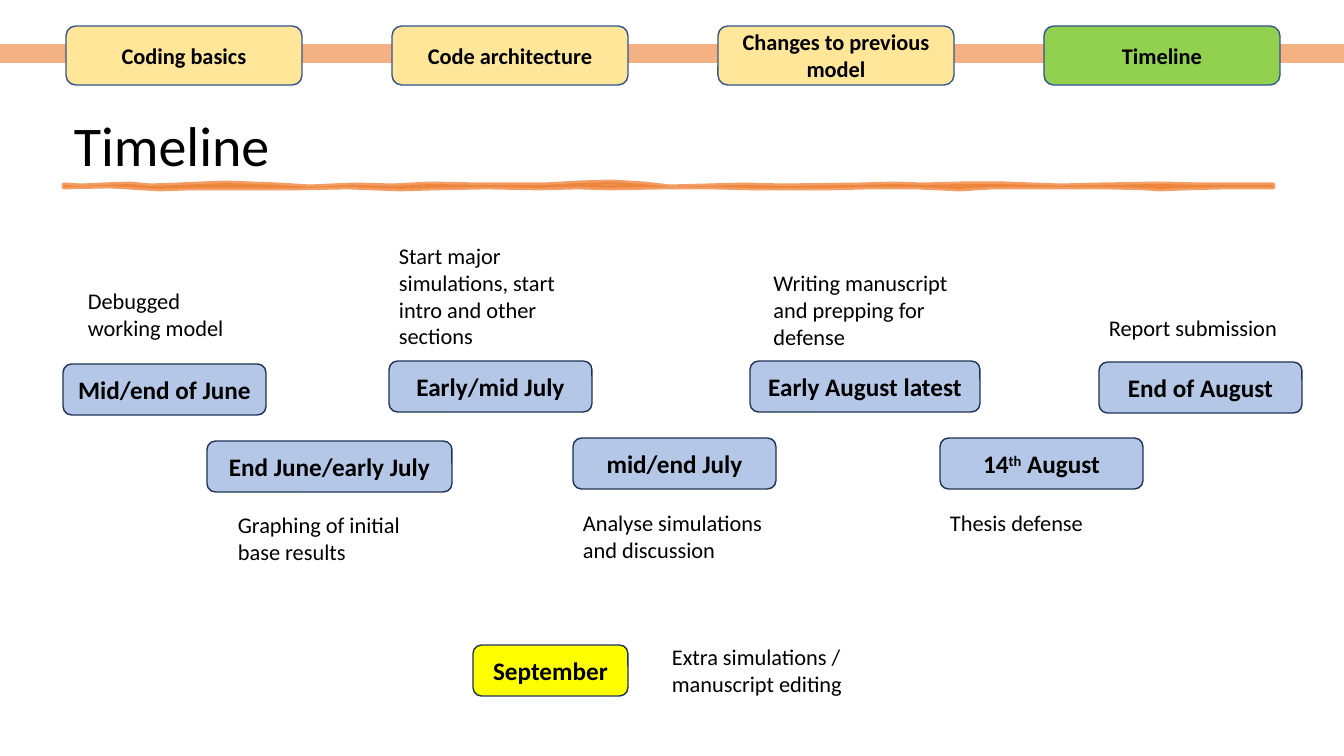
"""Build a project timeline slide with a navigation bar and staggered milestones."""
import pptx
import pptx.util
import pptx.dml.color
import pptx.enum.shapes
import pptx.enum.text
import pptx.oxml.ns
import lxml.etree

RGB = pptx.dml.color.RGBColor
SHAPE = pptx.enum.shapes.MSO_SHAPE
ALIGN = pptx.enum.text.PP_ALIGN
ANCHOR = pptx.enum.text.MSO_ANCHOR

BLACK = RGB(0x00, 0x00, 0x00)
BAND = RGB(0xF4, 0xB1, 0x83)
TAB = RGB(0xFF, 0xE6, 0x99)
TAB_ACTIVE = RGB(0x92, 0xD0, 0x50)
TAB_EDGE = RGB(0x32, 0x54, 0x91)
CARD = RGB(0xB4, 0xC7, 0xE7)
CARD_EXTRA = RGB(0xFF, 0xFF, 0x00)
CARD_EDGE = RGB(0x1E, 0x32, 0x56)
BRUSH = RGB(0xED, 0x7D, 0x31)

SCALE = 914400 / 100.8
PAGE_WIDTH, PAGE_HEIGHT = 1344, 756
FONT = "Calibri"

TITLE = "Timeline"
TABS = ["Coding basics", "Code architecture", "Changes to previous model", "Timeline"]
TAB_LEFT, TAB_TOP, TAB_WIDTH, TAB_HEIGHT, TAB_STEP = 66, 26, 236, 59, 326

CARD_HEIGHT = 51
NOTE_WIDTH, NOTE_PADDING, NOTE_LINE = 203, 10, 27
# label runs, card left, top and width, note, note top, width and line count
MILESTONES = [
    (["Mid/end of June"], 63, 364, 203, "Debugged working model", 282, 173, 2),
    (["End June/early July"], 207, 441, 245, "Graphing of initial base results", 506, 203, 2),
    (["Early/mid July"], 389, 361, 203,
     "Start major simulations, start intro and other sections", 237, 203, 4),
    (["mid/end July"], 573, 438, 203, "Analyse simulations and discussion", 504, 203, 2),
    (["Early August latest"], 750, 361, 230,
     "Writing manuscript and prepping for defense", 264, 203, 3),
    (["14", "th", " August"], 940, 438, 203, "Thesis defense", 504, 203, 1),
    (["End of August"], 1099, 362, 203, "Report submission", 309, 203, 1),
]
EXTRA_LABEL, EXTRA_BOX = "September", (473, 645, 155, CARD_HEIGHT)
EXTRA_NOTE, EXTRA_NOTE_AT = "Extra simulations / manuscript editing", (662, 638)

BRUSH_TOP = [
    (64, 185), (82, 186), (103, 185), (130, 184), (150, 186), (178, 185), (225, 183),
    (278, 185), (310, 187), (354, 185), (393, 186), (430, 184), (480, 185), (544, 185),
    (580, 183), (610, 182), (644, 184), (670, 187), (744, 185), (783, 186), (859, 185),
    (895, 184), (922, 185), (961, 184), (1005, 184), (1061, 186), (1101, 185),
    (1160, 184), (1203, 185), (1273, 185),
]
BRUSH_BOTTOM = [
    (1273, 187), (1225, 187), (1185, 188), (1160, 189), (1146, 188), (1107, 187),
    (1031, 187), (992, 187), (960, 189), (916, 187), (870, 187), (829, 188), (753, 188),
    (710, 187), (665, 187), (610, 188), (578, 187), (538, 188), (487, 187), (435, 188),
    (400, 189), (348, 187), (295, 188), (248, 188), (190, 188), (160, 189), (110, 186),
    (64, 187),
]


def emu(px):
    return round(px * SCALE)


def place(box):
    return [emu(length) for length in box]


def write(shape, runs, size, bold=False, align=ALIGN.LEFT, anchor=ANCHOR.TOP):
    frame = shape.text_frame
    frame.word_wrap = True
    frame.vertical_anchor = anchor
    para = frame.paragraphs[0]
    para.alignment = align
    para.font.name, para.font.size, para.font.bold = FONT, pptx.util.Pt(size), bold
    para.font.color.rgb = BLACK
    for text in runs:
        span = para.add_run()
        span.text = text
        if text == "th":
            span.font._element.set("baseline", "30000")
    return para


def add_text(page, box, text, size, anchor=ANCHOR.TOP):
    return write(page.shapes.add_textbox(*place(box)), [text], size, anchor=anchor)


def add_block(page, kind, box, fill, edge=None):
    shape = page.shapes.add_shape(kind, *place(box))
    paint(shape, fill, edge, 1)
    return shape


def add_button(page, box, runs, size, fill, edge):
    shape = add_block(page, SHAPE.ROUNDED_RECTANGLE, box, fill, edge)
    write(shape, runs, size, True, ALIGN.CENTER, ANCHOR.MIDDLE)


def paint(shape, fill, edge, weight):
    shape.shadow.inherit = False
    shape.fill.solid()
    shape.fill.fore_color.rgb = fill
    if edge is None:
        shape.line.fill.background()
    else:
        shape.line.color.rgb = edge
        shape.line.width = pptx.util.Pt(weight)


def add_brush(page):
    builder = page.shapes.build_freeform(*BRUSH_TOP[0], scale=SCALE)
    builder.add_line_segments(BRUSH_TOP[1:] + BRUSH_BOTTOM, close=True)
    stroke = builder.convert_to_shape()
    paint(stroke, BRUSH, BRUSH, 3.5)
    qn = pptx.oxml.ns.qn
    for color in stroke._element.spPr.iter(qn("a:srgbClr")):
        lxml.etree.SubElement(color, qn("a:alpha"), val="75000")
    lxml.etree.SubElement(stroke.line._get_or_add_ln(), qn("a:round"))


def note_height(lines):
    return NOTE_PADDING + NOTE_LINE * lines


def main():
    deck = pptx.Presentation()
    deck.slide_width, deck.slide_height = emu(PAGE_WIDTH), emu(PAGE_HEIGHT)
    page = deck.slides.add_slide(deck.slide_layouts[6])

    add_text(page, (64, 26, 1215, 158), TITLE, 40, ANCHOR.BOTTOM).line_spacing = 0.9
    add_brush(page)

    add_block(page, SHAPE.RECTANGLE, (0, 44, PAGE_WIDTH, 19), BAND)
    for index, label in enumerate(TABS):
        box = (TAB_LEFT + index * TAB_STEP, TAB_TOP, TAB_WIDTH, TAB_HEIGHT)
        add_button(page, box, [label], 16, TAB_ACTIVE if label == TITLE else TAB, TAB_EDGE)

    for runs, left, top, width, note, note_top, note_width, lines in MILESTONES:
        add_button(page, (left, top, width, CARD_HEIGHT), runs, 18, CARD, CARD_EDGE)
        note_left = left + (width - note_width) / 2
        add_text(page, (note_left, note_top, note_width, note_height(lines)), note, 16)

    add_button(page, EXTRA_BOX, [EXTRA_LABEL], 18, CARD_EXTRA, CARD_EDGE)
    add_text(page, (*EXTRA_NOTE_AT, NOTE_WIDTH, note_height(2)), EXTRA_NOTE, 16)

    deck.save("out.pptx")


if __name__ == "__main__":
    main()
